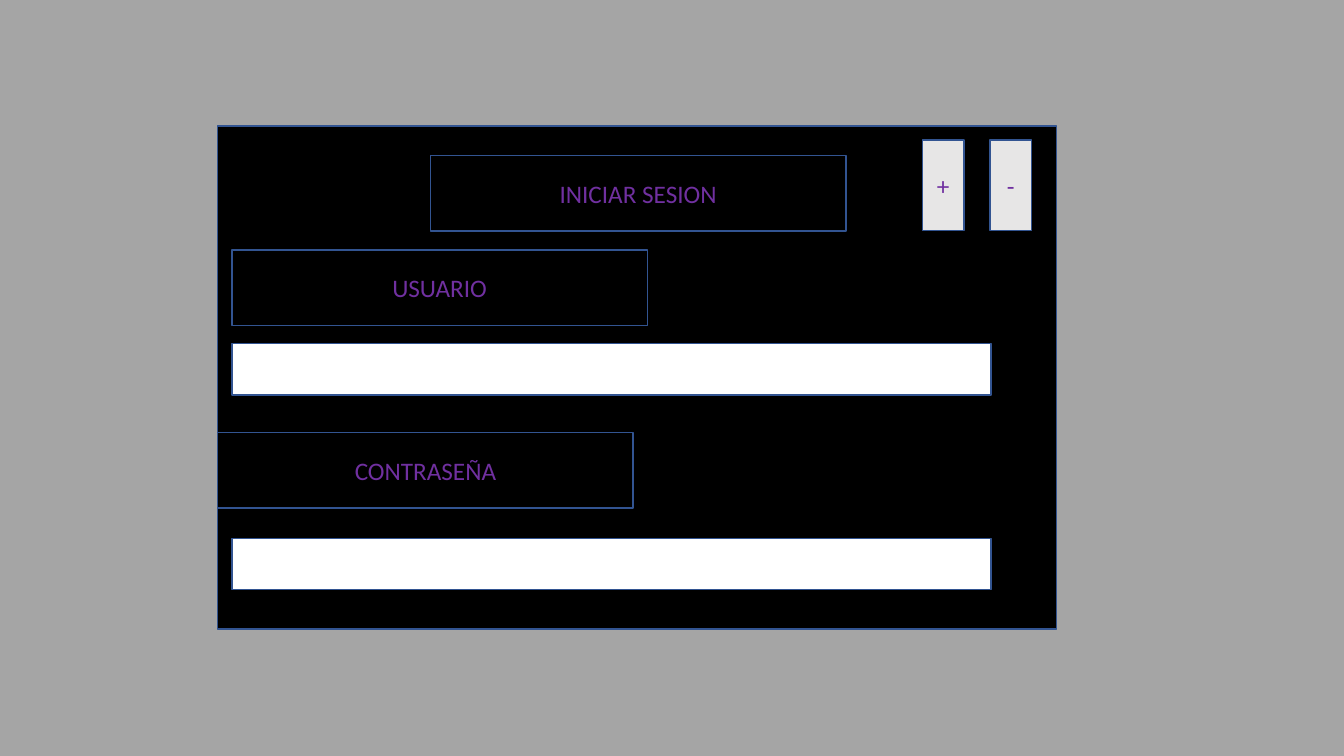
from pptx import Presentation
from pptx.dml.color import RGBColor
from pptx.enum.shapes import MSO_SHAPE as Shape
from pptx.enum.text import MSO_ANCHOR as Anchor, MSO_AUTO_SIZE as AutoSize, PP_ALIGN as Align
from pptx.util import Inches, Pt

GRAY = RGBColor(0xA5, 0xA5, 0xA5)
BLACK = RGBColor(0x00, 0x00, 0x00)
WHITE = RGBColor(0xFF, 0xFF, 0xFF)
LIGHT = RGBColor(0xE7, 0xE6, 0xE6)
BLUE = RGBColor(0x32, 0x54, 0x91)
PURPLE = RGBColor(0x70, 0x30, 0xA0)

LABEL_SIZE = (4.12, 0.75)
FIELD_SIZE = (7.53, 0.51)
BUTTON_SIZE = (0.41, 0.9)


def apply(target, values):
    for name, value in values.items():
        setattr(target, name, value)


class LoginPage:
    frame_format = {"word_wrap": True, "auto_size": AutoSize.NONE,
                    "vertical_anchor": Anchor.MIDDLE}
    para_format = {"alignment": Align.CENTER, "line_spacing": 1.0}
    font_format = {"name": "Calibri", "size": Pt(18), "bold": False}

    def __init__(self, deck):
        self.page = deck.slides.add_slide(deck.slide_layouts[5])
        background = self.page.background.fill
        background.solid()
        background.fore_color.rgb = GRAY

    def paint(self, box, color):
        box.fill.solid()
        box.fill.fore_color.rgb = color
        box.line.color.rgb = BLUE
        box.line.width = Pt(1)

    def label(self, box, text):
        apply(box.text_frame, self.frame_format)
        para = box.text_frame.paragraphs[0]
        apply(para, self.para_format)
        span = para.add_run()
        span.text = text
        apply(span.font, self.font_format)
        span.font.color.rgb = PURPLE

    def box(self, left, top, size, color, text=""):
        box = self.page.shapes.add_shape(
            Shape.RECTANGLE, *map(Inches, (left, top, *size)))
        box.shadow.inherit = False
        self.paint(box, color)
        if text:
            self.label(box, text)
        return box

    def title(self, left, top, size, text, panel):
        """Format the title placeholder and stack it just above the panel."""
        title = self.page.shapes.title
        places = map(Inches, (left, top, *size))
        apply(title, dict(zip(("left", "top", "width", "height"), places)))
        self.paint(title, BLACK)
        self.label(title, text)
        panel.element.addnext(title.element)


def main():
    deck = Presentation()
    deck.slide_width, deck.slide_height = Inches(13.33), Inches(7.5)
    login = LoginPage(deck)

    panel = login.box(2.16, 1.25, (8.32, 4.99), BLACK)
    login.title(4.27, 1.54, LABEL_SIZE, "INICIAR SESION", panel)
    for left, top, text in ((2.16, 4.29, "CONTRASEÑA"), (2.3, 2.48, "USUARIO")):
        login.box(left, top, LABEL_SIZE, BLACK, text)
    for top in (3.41, 5.34):
        login.box(2.3, top, FIELD_SIZE, WHITE)
    for left, text in ((9.15, "+"), (9.82, "-")):
        login.box(left, 1.39, BUTTON_SIZE, LIGHT, text)

    deck.save("out.pptx")


if __name__ == "__main__":
    main()
